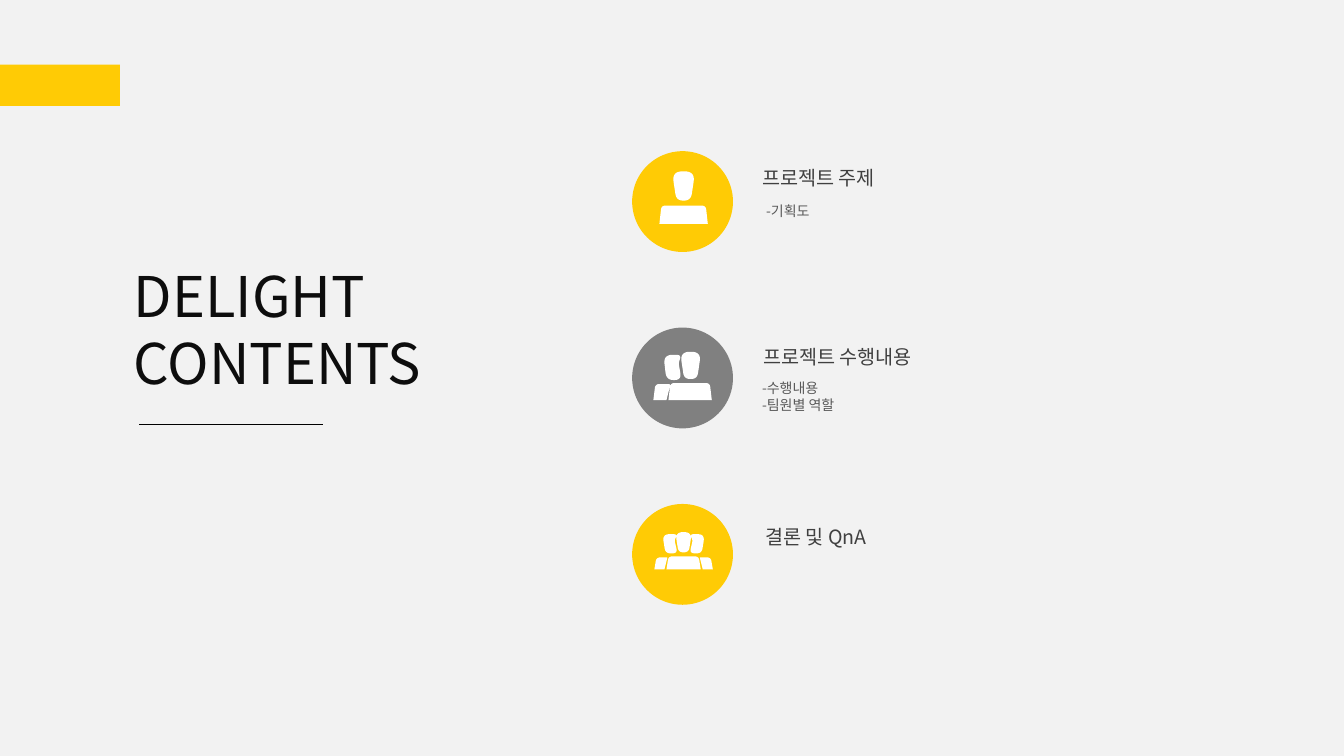
from lxml.etree import SubElement
from pptx import Presentation
from pptx.dml.color import RGBColor
from pptx.enum.shapes import MSO_CONNECTOR, MSO_SHAPE
from pptx.enum.text import MSO_AUTO_SIZE, PP_ALIGN
from pptx.oxml.ns import qn
from pptx.util import Inches, Pt
from math import dist

YELLOW = RGBColor(0xFF, 0xCB, 0x05)
GRAY = RGBColor(0x80, 0x80, 0x80)
BACKGROUND = RGBColor(0xF2, 0xF2, 0xF2)
WHITE = RGBColor(0xFF, 0xFF, 0xFF)
BLACK = RGBColor(0x00, 0x00, 0x00)
TITLE_INK = RGBColor(0x0D, 0x0D, 0x0D)
HEADING_INK = RGBColor(0x40, 0x40, 0x40)
DETAIL_INK = RGBColor(0x59, 0x59, 0x59)
FONT = "Noto Sans CJK KR"
ICON_AXIS = 6.78
CURVE_STEPS = 8


def paint(shape, color):
    shape.shadow.inherit = False
    shape.fill.solid()
    shape.fill.fore_color.rgb = color
    shape.line.fill.background()


def add_block(slide, kind, left, top, width, height, color):
    block = slide.shapes.add_shape(
        kind, Inches(left), Inches(top), Inches(width), Inches(height))
    paint(block, color)


def add_text(slide, text, left, top, width, height, size=14,
             color=HEADING_INK, wrap=True, align=None):
    box = slide.shapes.add_textbox(
        Inches(left), Inches(top), Inches(width), Inches(height))
    frame = box.text_frame
    frame.word_wrap = wrap
    frame.auto_size = MSO_AUTO_SIZE.SHAPE_TO_FIT_TEXT
    for index, line in enumerate(text.split("\n")):
        paragraph = frame.add_paragraph() if index else frame.paragraphs[0]
        paragraph.alignment = align
        run = paragraph.add_run()
        run.text = line
        run.font.size = Pt(size)
        run.font.name = FONT
        run.font.color.rgb = color
        SubElement(run.font._element, qn("a:ea"), typeface=FONT)


def add_rule(slide, left, right, top):
    rule = slide.shapes.add_connector(
        MSO_CONNECTOR.STRAIGHT,
        Inches(left), Inches(top), Inches(right), Inches(top))
    rule.line.color.rgb = BLACK
    rule.line.width = Pt(0.5)
    SubElement(rule._element.spPr, qn("a:effectLst"))


def toward(start, end, length):
    share = length / dist(start, end)
    return tuple(a + (b - a) * share for a, b in zip(start, end))


def rounded(corners):
    points = []
    for index, (x, y, radius) in enumerate(corners):
        corner = (x, y)
        if not radius:
            points.append(corner)
            continue
        entry = toward(corner, corners[index - 1][:2], radius)
        leave = toward(corner, corners[(index + 1) % len(corners)][:2], radius)
        for step in range(CURVE_STEPS + 1):
            t = step / CURVE_STEPS
            points.append(tuple(
                (1 - t) ** 2 * a + 2 * t * (1 - t) * b + t ** 2 * c
                for a, b, c in zip(entry, corner, leave)))
    return points


def head(center, top, width, height):
    crown, chin, bottom = 0.55 * width, 0.34 * width, top + height
    return [(center - crown, top, 0.5 * width),
            (center + crown, top, 0.5 * width),
            (center + chin, bottom, 0.32 * width),
            (center - chin, bottom, 0.32 * width)]


def body(left, right, top, bottom):
    return [(left, bottom, 0), (left + 0.02, top, 0.04),
            (right - 0.02, top, 0.04), (right, bottom, 0)]


def mirrored(corners):
    return [(2 * ICON_AXIS - x, y, radius) for x, y, radius in corners]


def add_people(slide, parts):
    outlines = [[(Inches(x), Inches(y)) for x, y in rounded(part)]
                for part in parts]
    builder = slide.shapes.build_freeform(*outlines[0][0])
    for index, outline in enumerate(outlines):
        if index:
            builder.move_to(*outline[0])
        builder.add_line_segments(outline[1:], close=True)
    paint(builder.convert_to_shape(), WHITE)


def add_icons(slide):
    for index, color in enumerate((YELLOW, GRAY, YELLOW)):
        add_block(slide, MSO_SHAPE.OVAL, 6.27, 1.5 + 1.75 * index, 1, 1, color)

    add_people(slide, [head(ICON_AXIS, 1.7, 0.21, 0.29),
                       body(6.54, 7.02, 2.04, 2.22)])

    partner_head = [(6.58, 3.52, 0.09), (6.76, 3.52, 0.05), (6.73, 3.6, 0.03),
                    (6.76, 3.77, 0.07), (6.61, 3.77, 0.07)]
    partner_body = [(6.48, 3.97, 0), (6.5, 3.81, 0.04),
                    (6.65, 3.81, 0.02), (6.61, 3.97, 0)]
    add_people(slide, [partner_head, partner_body,
                       head(6.85, 3.49, 0.19, 0.27),
                       body(6.63, 7.06, 3.8, 3.97)])

    side_head = [(6.57, 5.3, 0.07), (6.72, 5.3, 0.04), (6.69, 5.36, 0.02),
                 (6.72, 5.49, 0.05), (6.6, 5.49, 0.05)]
    side_body = [(6.49, 5.65, 0), (6.51, 5.53, 0.04),
                 (6.62, 5.53, 0.01), (6.59, 5.65, 0)]
    add_people(slide, [side_head, side_body,
                       mirrored(side_head), mirrored(side_body),
                       head(ICON_AXIS, 5.28, 0.15, 0.2),
                       body(6.61, 6.95, 5.52, 5.65)])


def main():
    deck = Presentation()
    deck.slide_width, deck.slide_height = Inches(13.33), Inches(7.5)
    slide = deck.slides.add_slide(deck.slide_layouts[6])
    slide.background.fill.solid()
    slide.background.fill.fore_color.rgb = BACKGROUND

    add_block(slide, MSO_SHAPE.RECTANGLE, 0, 0.64, 1.19, 0.41, YELLOW)
    add_text(slide, "DELIGHT\nCONTENTS", 1.23, 2.54, 3.62, 1.45,
             size=40, color=TITLE_INK)
    add_rule(slide, 1.38, 3.2, 4.21)
    add_icons(slide)

    for heading, left, top, width in (
            ("프로젝트 주제", 7.46, 1.6, 1.45),
            ("프로젝트 수행내용", 7.47, 3.37, 1.84),
            ("결론 및 QnA", 7.49, 5.16, 1.32)):
        add_text(slide, heading, left, top, width, 0.34, wrap=False)
    for details, left, top, height in (
            ("-기획도", 7.5, 1.96, 0.27),
            ("-수행내용\n-팀원별 역할", 7.46, 3.72, 0.44)):
        add_text(slide, details, left, top, 2.82, height, size=10,
                 color=DETAIL_INK, align=PP_ALIGN.JUSTIFY)

    deck.save("out.pptx")


if __name__ == "__main__":
    main()
